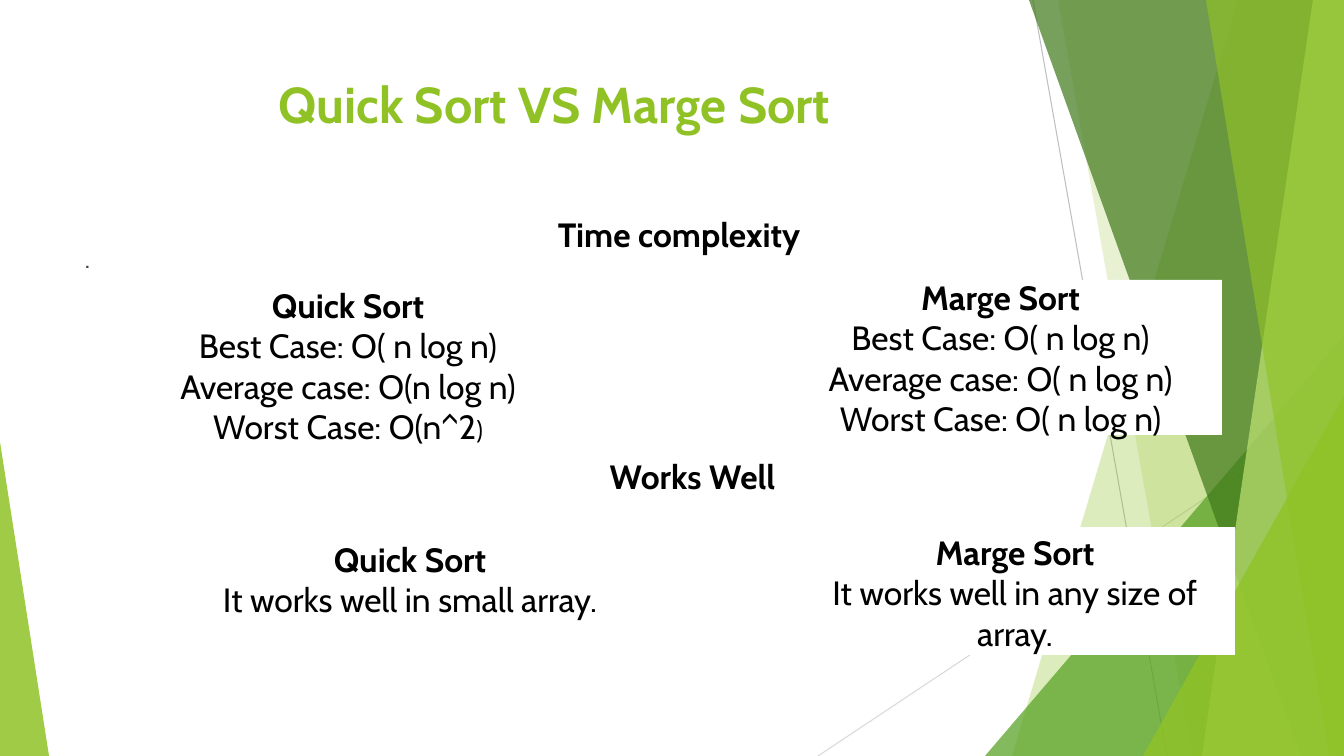
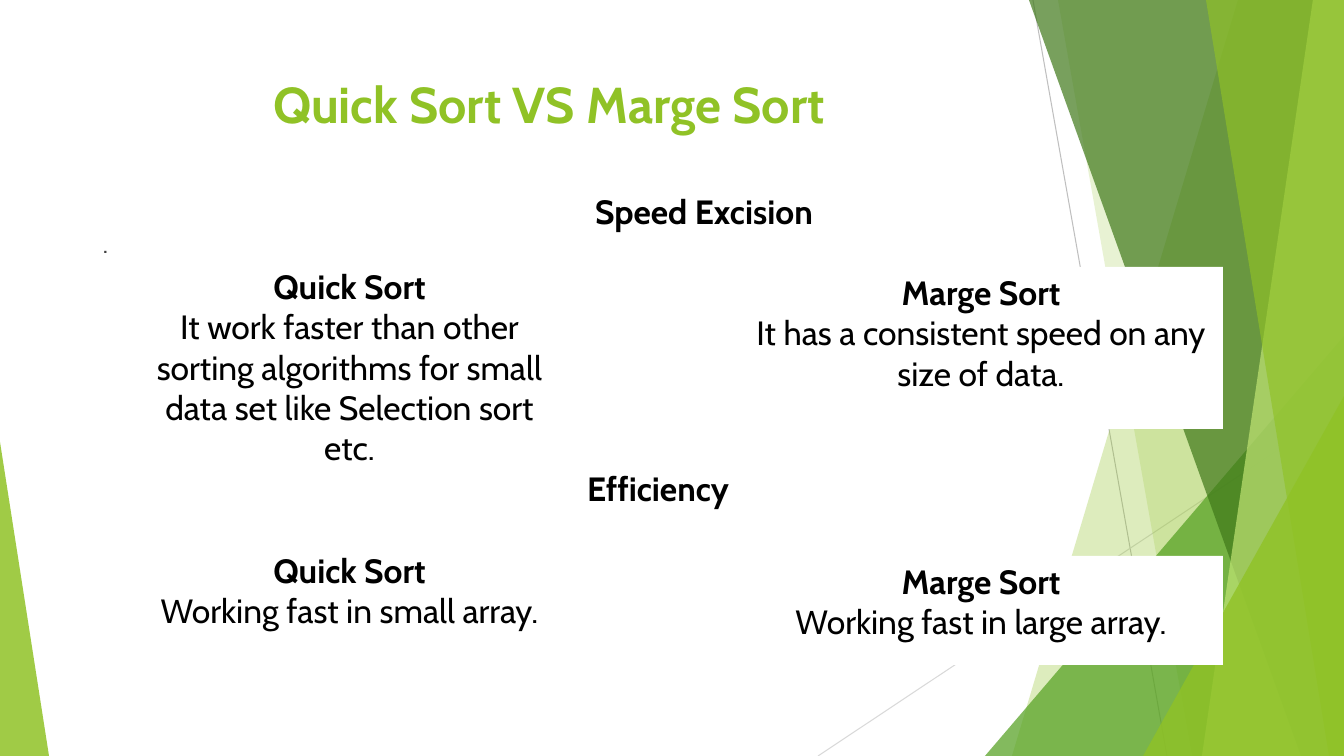
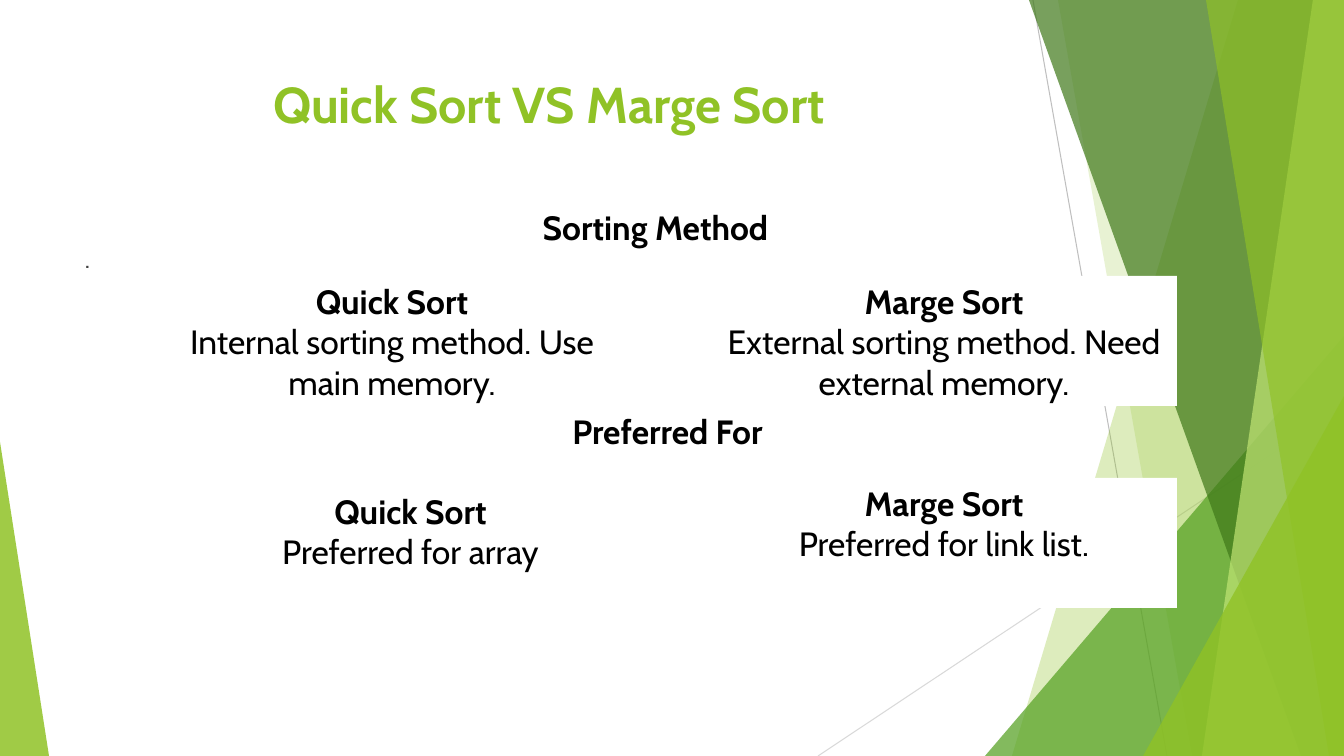
from dataclasses import dataclass
from typing import NamedTuple

from lxml.etree import SubElement
from pptx import Presentation
from pptx.dml.color import RGBColor
from pptx.enum.shapes import MSO_CONNECTOR, MSO_SHAPE
from pptx.enum.text import MSO_ANCHOR, PP_ALIGN
from pptx.oxml.ns import qn
from pptx.shapes.autoshape import Shape
from pptx.slide import Slide
from pptx.util import Emu, Pt

WIDTH, HEIGHT = 1344, 756
EMU_PER_PX = 914400 / 100.8
FONT = "Cabin"
PAD_X, PAD_Y = 10, 5
COLORS = {
    "lime": "90C226", "green": "54A021", "forest": "3F7819", "pale": "C0E474",
    "silver": "BFBFBF", "mist": "D9D9D9", "white": "FFFFFF", "black": "000000",
    "gray": "404040",
}


class Rect(NamedTuple):
    x: int
    y: int
    w: int
    h: int


@dataclass(frozen=True)
class Line:
    start: tuple[int, int]
    end: tuple[int, int]
    color: str


@dataclass(frozen=True)
class Band:
    top: int
    bottom: int
    color: str
    opacity: int


@dataclass(frozen=True)
class Triangle:
    rect: Rect
    apex: float
    color: str
    opacity: int


@dataclass(frozen=True)
class Run:
    text: str
    size: int = 24
    bold: bool = False
    color: str = "black"


@dataclass(frozen=True)
class Card:
    rect: Rect
    paragraphs: tuple[tuple[Run, ...], ...]
    middle: bool = False
    shift: int = 0


@dataclass(frozen=True)
class Comparison:
    title: Rect
    title_shift: int
    body: Rect
    cards: tuple[Card, ...]


LINES = (
    Line((1033, 0), (1167, HEIGHT), "silver"),
    Line((WIDTH, 406), (818, HEIGHT), "mist"),
)
FACETS = (
    Band(1238, 1012, "lime", 30),
    Band(1058, 1192, "lime", 20),
    Triangle(Rect(985, 336, 359, 420), 1, "green", 72),
    Band(1029, 1301, "forest", 70),
    Band(1313, 1202, "pale", 70),
    Band(1206, 1329, "lime", 65),
    Triangle(Rect(1143, 396, 201, 360), 1, "lime", 80),
    Triangle(Rect(0, 442, 49, 314), 0, "lime", 85),
)


def topic(text: str, *rect: int, middle: bool = False, shift: int = 0) -> Card:
    return Card(Rect(*rect), ((Run(text, bold=True),),), middle, shift)


def sort_card(name: str, rect: Rect, *lines: str, tail: tuple[Run, ...] = (),
              middle: bool = False) -> Card:
    body = [(Run(line),) for line in lines]
    if tail:
        body[-1] += tail
    return Card(rect, ((Run(name, bold=True),), *body), middle)


def quick(*args, **kwargs) -> Card:
    return sort_card("Quick Sort", *args, **kwargs)


def marge(*args, **kwargs) -> Card:
    return sort_card("Marge Sort", *args, **kwargs)


TITLE = Rect(75, 68, 948, 145)
BODY = Rect(75, 238, 948, 427)
COMPARISONS = (
    Comparison(Rect(75, 68, 948, 109), 11, BODY, (
        topic("Time complexity", 546, 202, 266, 65, middle=True),
        quick(Rect(124, 280, 448, 163), "Best Case: O( n log n)",
              "Average case: O(n log n)", "Worst Case: O(n^2", tail=(Run(")", 18),)),
        marge(Rect(779, 280, 443, 155), "Best Case: O( n log n)",
              "Average case: O( n log n)", "Worst Case: O( n log n)", middle=True),
        topic("Works Well", 572, 451, 241, 58),
        quick(Rect(186, 534, 448, 121), "It works well in small array."),
        marge(Rect(795, 527, 440, 128), "It works well in any size of array."),
    )),
    Comparison(TITLE, 0, Rect(93, 223, 1159, 480), (
        quick(Rect(128, 261, 443, 202), "It work faster than other sorting algorithms "
              "for small data set like Selection sort etc."),
        topic("Speed Excision", 572, 186, 264, 59),
        marge(Rect(739, 267, 484, 162), "It has a consistent speed on any size of data."),
        topic("Efficiency", 487, 463, 313, 83, shift=29),
        quick(Rect(128, 545, 443, 107), "Working fast in small array."),
        marge(Rect(739, 556, 484, 109), "Working fast in large array."),
    )),
    Comparison(TITLE, 0, BODY, (
        topic("Sorting Method", 521, 202, 269, 59),
        quick(Rect(156, 276, 472, 130), "Internal sorting method. Use main memory."),
        marge(Rect(711, 276, 466, 130), "External sorting method. Need external memory."),
        topic("Preferred For", 550, 406, 243, 56, shift=-8),
        quick(Rect(194, 486, 433, 130), "Preferred for array"),
        marge(Rect(711, 478, 466, 130), "Preferred for link list."),
    )),
)


def px(value: float) -> Emu:
    return Emu(round(value * EMU_PER_PX))


def rgb(name: str) -> RGBColor:
    return RGBColor.from_string(COLORS[name])


def paint(s: Shape, color: str, opacity: int = 100) -> None:
    s.shadow.inherit = False
    s.line.fill.background()
    s.fill.solid()
    s.fill.fore_color.rgb = rgb(color)
    if opacity < 100:
        clr = s._element.spPr.find(".//" + qn("a:srgbClr"))
        SubElement(clr, qn("a:alpha")).set("val", str(opacity * 1000))


def draw_line(sl: Slide, line: Line) -> None:
    s = sl.shapes.add_connector(MSO_CONNECTOR.STRAIGHT, *map(px, line.start + line.end))
    s.line.color.rgb = rgb(line.color)
    s.line.width = Pt(0.75)
    SubElement(s._element.spPr, qn("a:effectLst"))


def draw_facet(sl: Slide, facet: Band | Triangle) -> None:
    if isinstance(facet, Band):
        fb = sl.shapes.build_freeform(facet.top, 0, scale=EMU_PER_PX)
        fb.add_line_segments([(WIDTH, 0), (WIDTH, HEIGHT), (facet.bottom, HEIGHT)])
        s = fb.convert_to_shape()
    else:
        s = sl.shapes.add_shape(MSO_SHAPE.ISOSCELES_TRIANGLE, *map(px, facet.rect))
        s.adjustments[0] = facet.apex
    paint(s, facet.color, facet.opacity)


def write(s: Shape, paragraphs: tuple[tuple[Run, ...], ...], align: PP_ALIGN,
          middle: bool = False, shift: int = 0) -> None:
    tf = s.text_frame
    tf.word_wrap = True
    tf.vertical_anchor = MSO_ANCHOR.MIDDLE if middle else MSO_ANCHOR.TOP
    tf.margin_left = px(PAD_X + max(shift, 0))
    tf.margin_right = px(PAD_X + max(-shift, 0))
    tf.margin_top = tf.margin_bottom = px(PAD_Y)
    for i, runs in enumerate(paragraphs):
        p = tf.add_paragraph() if i else tf.paragraphs[0]
        p.alignment = align
        for run in runs:
            r = p.add_run()
            r.text = run.text
            r.font.name = FONT
            r.font.size = Pt(run.size)
            r.font.bold = run.bold
            r.font.color.rgb = rgb(run.color)


def draw_text(sl: Slide, rect: Rect, run: Run, align: PP_ALIGN, shift: int = 0) -> None:
    write(sl.shapes.add_textbox(*map(px, rect)), ((run,),), align, shift=shift)


def draw_card(sl: Slide, card: Card) -> None:
    s = sl.shapes.add_shape(MSO_SHAPE.RECTANGLE, *map(px, card.rect))
    paint(s, "white")
    write(s, card.paragraphs, PP_ALIGN.CENTER, card.middle, card.shift)


def draw_comparison(prs: Presentation, item: Comparison) -> None:
    sl = prs.slides.add_slide(prs.slide_layouts[6])
    for line in LINES:
        draw_line(sl, line)
    for facet in FACETS:
        draw_facet(sl, facet)
    title = Run("Quick Sort VS Marge Sort", 36, True, "lime")
    draw_text(sl, item.title, title, PP_ALIGN.CENTER, item.title_shift)
    draw_text(sl, item.body, Run(".", 18, color="gray"), PP_ALIGN.LEFT)
    for card in item.cards:
        draw_card(sl, card)


prs = Presentation()
prs.slide_width, prs.slide_height = px(WIDTH), px(HEIGHT)
for comparison in COMPARISONS:
    draw_comparison(prs, comparison)
prs.save("out.pptx")
